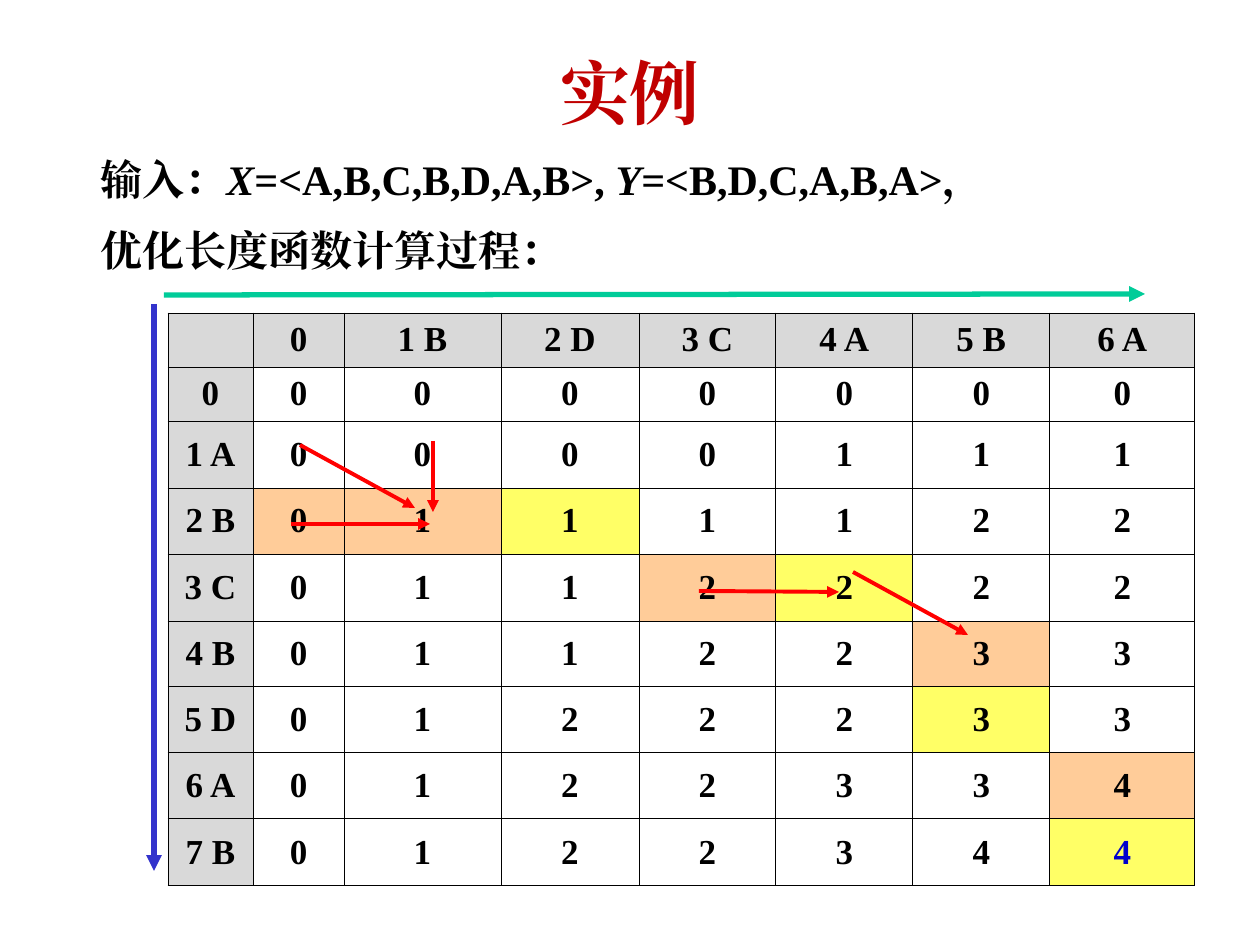
from typing import NamedTuple

import pptx
import pptx.dml.color
import pptx.enum.lang
import pptx.enum.shapes
import pptx.enum.text
import pptx.oxml
import pptx.oxml.ns
import pptx.util

PX = 914400 // 126
FONT = "Times New Roman"
COLORS = {
    "title": "C00000", "text": "000000", "answer": "0000CC", "grid": "000000",
    "header": "D9D9D9", "orange": "FFCC99", "yellow": "FFFF66",
    "across": "00CC99", "down": "3333CC", "step": "FF0000",
}


class Arrow(NamedTuple):
    x1: int
    y1: int
    x2: int
    y2: int
    color: str = "step"
    width: float = 2.25


X_LABELS = ["0", "1 A", "2 B", "3 C", "4 B", "5 D", "6 A", "7 B"]
Y_LABELS = ["0", "1 B", "2 D", "3 C", "4 A", "5 B", "6 A"]
LENGTHS = ["0000000", "0000111", "0111122", "0112222",
           "0112233", "0122233", "0122334", "0122344"]
ROWS = [["", *Y_LABELS]] + [[x, *v] for x, v in zip(X_LABELS, LENGTHS)]
COL_WIDTHS = [85, 91, 157, 138, 137, 137, 137, 145]
ROW_HEIGHTS = [45, 45, 67, 66, 67, 66, 66, 66, 67]
HIGHLIGHTS = {
    (3, 1): "orange", (3, 2): "orange", (3, 3): "yellow",
    (4, 4): "orange", (4, 5): "yellow",
    (5, 6): "orange", (6, 6): "yellow",
    (7, 7): "orange", (8, 7): "yellow",
}
ARROWS = [
    Arrow(164, 295, 1145, 294, "across", 3),
    Arrow(154, 304, 154, 871, "down", 3),
    Arrow(291, 524, 430, 524),
    Arrow(433, 441, 433, 512),
    Arrow(853, 572, 968, 635),
    Arrow(300, 445, 415, 508),
    Arrow(699, 591, 839, 592),
]


def px(n: int) -> pptx.util.Emu:
    return pptx.util.Emu(n * PX)


def rgb(name: str) -> pptx.dml.color.RGBColor:
    return pptx.dml.color.RGBColor.from_string(COLORS[name])


def add_text(p, text: str, *, size: float, color: str = "text",
             italic: bool = False, center: bool = False) -> None:
    r = p.add_run()
    r.text = text
    f = r.font
    f.name, f.size, f.bold, f.italic = FONT, pptx.util.Pt(size), True, italic
    f.color.rgb = rgb(color)
    f.language_id = pptx.enum.lang.MSO_LANGUAGE_ID.SIMPLIFIED_CHINESE
    ea = pptx.oxml.parse_xml(
        f'<a:ea {pptx.oxml.ns.nsdecls("a")} typeface="{FONT}"/>')
    r.font._element.find(pptx.oxml.ns.qn("a:latin")).addnext(ea)
    if center:
        p.alignment = pptx.enum.text.PP_ALIGN.CENTER


def add_box(slide, x: int, y: int, w: int, h: int):
    tf = slide.shapes.add_textbox(px(x), px(y), px(w), px(h)).text_frame
    tf.word_wrap = True
    return tf


def add_borders(cell) -> None:
    tc_pr = cell._tc.get_or_add_tcPr()
    for side in ("lnL", "lnR", "lnT", "lnB"):
        tc_pr.append(pptx.oxml.parse_xml(
            f'<a:{side} {pptx.oxml.ns.nsdecls("a")} w="5715"><a:solidFill>'
            f'<a:srgbClr val="{COLORS["grid"]}"/></a:solidFill></a:{side}>'))


def add_length_table(slide, x: int, y: int) -> None:
    table = slide.shapes.add_table(
        len(ROWS), len(COL_WIDTHS), px(x), px(y),
        px(sum(COL_WIDTHS)), px(sum(ROW_HEIGHTS))).table
    table.first_row = table.horz_banding = False
    for col, w in zip(table.columns, COL_WIDTHS):
        col.width = px(w)
    for row, h in zip(table.rows, ROW_HEIGHTS):
        row.height = px(h)
    last = (len(ROWS) - 1, len(COL_WIDTHS) - 1)
    for i, values in enumerate(ROWS):
        for j, value in enumerate(values):
            cell = table.cell(i, j)
            cell.margin_left = cell.margin_right = px(9)
            cell.margin_top = cell.margin_bottom = px(6)
            cell.vertical_anchor = pptx.enum.text.MSO_ANCHOR.MIDDLE
            add_borders(cell)
            fill = "header" if i == 0 or j == 0 else HIGHLIGHTS.get((i, j))
            if fill:
                cell.fill.solid()
                cell.fill.fore_color.rgb = rgb(fill)
            else:
                cell.fill.background()
            if value:
                add_text(cell.text_frame.paragraphs[0], value, size=20, center=True,
                         color="answer" if (i, j) == last else "text")


def add_arrow(slide, a: Arrow) -> None:
    sp = slide.shapes.add_connector(
        pptx.enum.shapes.MSO_CONNECTOR.STRAIGHT,
        px(a.x1), px(a.y1), px(a.x2), px(a.y2))
    sp.line.color.rgb = rgb(a.color)
    sp.line.width = pptx.util.Pt(a.width)
    ns = pptx.oxml.ns.nsdecls("a")
    sp.line._get_or_add_ln().append(
        pptx.oxml.parse_xml(f'<a:tailEnd {ns} type="triangle"/>'))
    sp._element.spPr.append(pptx.oxml.parse_xml(f"<a:effectLst {ns}/>"))


def main() -> None:
    prs = pptx.Presentation()
    prs.slide_width, prs.slide_height = px(1260), px(945)
    slide = prs.slides.add_slide(prs.slide_layouts[6])

    tf = add_box(slide, 88, 147, 1103, 685)
    p = tf.paragraphs[0]
    for text, italic in [("输入：", False), ("X", True), ("=<A,B,C,B,D,A,B>, ", False),
                         ("Y", True), ("=<B,D,C,A,B,A>，", False)]:
        add_text(p, text, size=24, italic=italic)
    p = tf.add_paragraph()
    p.space_before = pptx.util.Pt(12)
    add_text(p, "优化长度函数计算过程：", size=24)

    tf = add_box(slide, 63, 48, 1134, 87)
    tf.vertical_anchor = pptx.enum.text.MSO_ANCHOR.MIDDLE
    add_text(tf.paragraphs[0], "实例", size=40, color="title", center=True)

    add_length_table(slide, 168, 313)
    for a in ARROWS:
        add_arrow(slide, a)
    prs.save("out.pptx")


if __name__ == "__main__":
    main()
